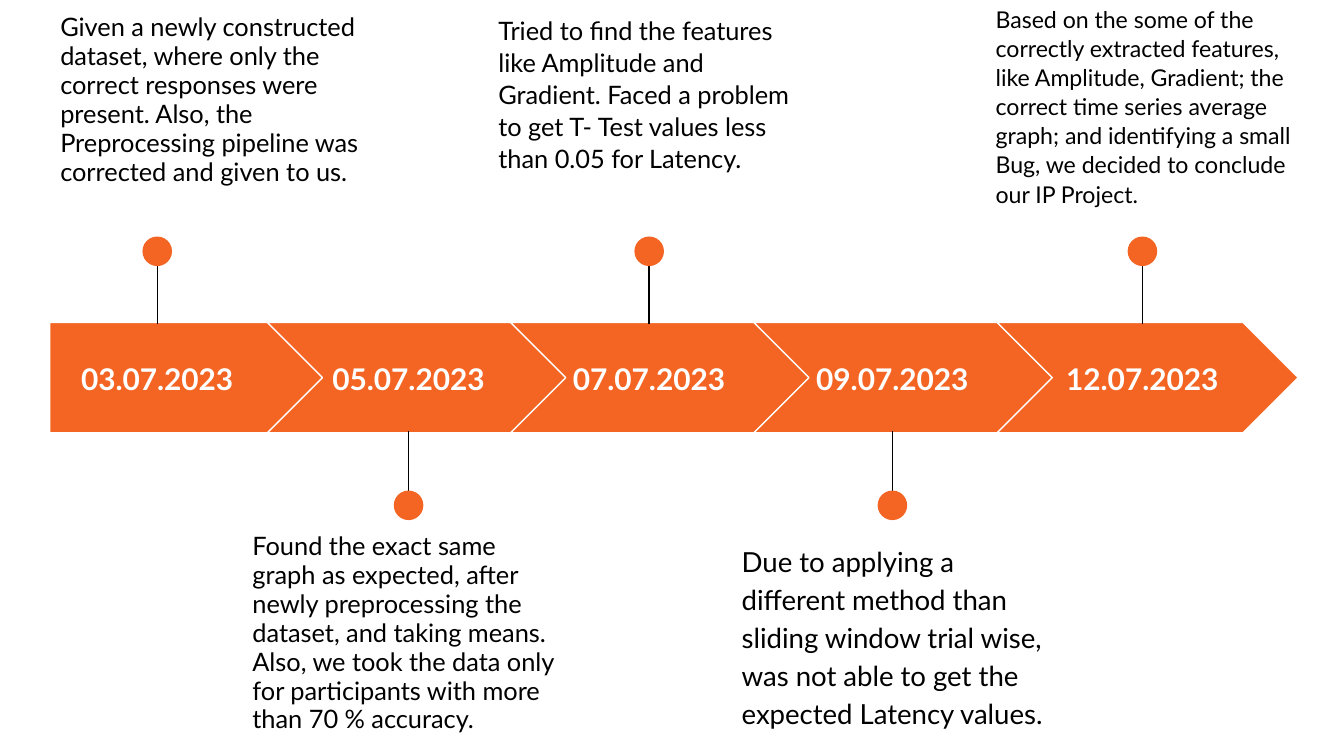
from dataclasses import dataclass

from lxml.etree import SubElement
from pptx import Presentation
from pptx.dml.color import RGBColor
from pptx.enum.shapes import MSO_CONNECTOR, MSO_SHAPE
from pptx.enum.text import MSO_ANCHOR, PP_ALIGN
from pptx.oxml.ns import qn
from pptx.util import Inches, Pt


@dataclass(frozen=True)
class Theme:
    font: str = "Lato"
    orange: RGBColor = RGBColor(0xF4, 0x65, 0x24)
    white: RGBColor = RGBColor(0xFF, 0xFF, 0xFF)
    black: RGBColor = RGBColor(0, 0, 0)
    date: float = 16
    note: float = 13.6
    large: float = 14.8
    small: float = 12.4
    line: float = 0.75


@dataclass(frozen=True)
class Step:
    date: str
    mid: float  # centre of the date and its pin
    note: str
    left: float
    top: float
    high: float
    size: float
    space: float


THEME = Theme()
BAND_TOP, BAND_HIGH = 2.4, 0.82
FIRST, PITCH, WIDE = 1.99, 1.81, 2.24  # chevrons
DOT = 0.22

STEPS = [
    Step("03.07.2023", 1.17,
         "Given a newly constructed dataset, where only the correct responses "
         "were present. Also, the Preprocessing pipeline was corrected and "
         "given to us.", 0.35, 0, 1.58, THEME.note, 0.95),
    Step("05.07.2023", 3.04,
         "Found the exact same graph as expected, after newly preprocessing "
         "the dataset, and taking means. Also, we took the data only for "
         "participants with more than 70 % accuracy.",
         1.78, 3.86, 1.76, THEME.note, 0.95),
    Step("07.07.2023", 4.83,
         "Tried to find the features like Amplitude and Gradient. Faced a "
         "problem to get T- Test values less than 0.05 for Latency.",
         3.61, 0, 1.41, THEME.note, 1.05),
    Step("09.07.2023", 6.64,
         "Due to applying a different method than sliding window trial wise, "
         "was not able to get the expected Latency values.",
         5.42, 3.92, 1.7, THEME.large, 1.15),
    Step("12.07.2023", 8.5,
         "Based on the some of the correctly extracted features, like "
         "Amplitude, Gradient; the correct time series average graph; and "
         "identifying a small Bug, we decided to conclude our IP Project.",
         7.31, -0.07, 1.83, THEME.small, 1.05),
]


def add_solid(slide, kind: MSO_SHAPE, left: float, top: float,
              wide: float, high: float):
    """Add an orange shape without outline or shadow."""
    shape = slide.shapes.add_shape(
        kind, Inches(left), Inches(top), Inches(wide), Inches(high))
    shape.shadow.inherit = False
    shape.fill.solid()
    shape.fill.fore_color.rgb = THEME.orange
    shape.line.fill.background()
    return shape


def add_arrow(slide, index: int) -> None:
    if index == 0:
        kind, left, wide = MSO_SHAPE.PENTAGON, 0.37, 2.05
    else:
        kind, left, wide = MSO_SHAPE.CHEVRON, FIRST + PITCH * (index - 1), WIDE
    arrow = add_solid(slide, kind, left, BAND_TOP, wide, BAND_HIGH)
    arrow.adjustments[0] = 0.5
    arrow.line.color.rgb = THEME.white
    arrow.line.width = Pt(THEME.line)


def add_text(slide, text: str, left: float, top: float, wide: float,
             high: float, size: float, color: RGBColor):
    """Add a wrapped one-paragraph box; return its frame and paragraph."""
    box = slide.shapes.add_textbox(
        Inches(left), Inches(top), Inches(wide), Inches(high))
    frame = box.text_frame
    frame.word_wrap = True
    frame.margin_left = frame.margin_right = Inches(0.1)
    frame.margin_top = frame.margin_bottom = Inches(0.1)
    para = frame.paragraphs[0]
    para.text = text
    para.font.name = THEME.font
    para.font.size = Pt(size)
    para.font.color.rgb = color
    return frame, para


def add_date(slide, step: Step) -> None:
    wide = 1.44
    frame, para = add_text(slide, step.date, step.mid - wide / 2, 2.56, wide,
                           0.51, THEME.date, THEME.white)
    frame.vertical_anchor = MSO_ANCHOR.MIDDLE
    para.alignment = PP_ALIGN.CENTER
    para.font.bold = True


def add_pin(slide, mid: float, above: bool) -> None:
    """Join the band to a dot above or below it."""
    start, end, top = (1.8, 2.41, 1.76) if above else (3.82, 3.21, 3.65)
    stem = slide.shapes.add_connector(
        MSO_CONNECTOR.STRAIGHT, Inches(mid), Inches(start),
        Inches(mid), Inches(end))
    stem.line.color.rgb = THEME.black
    stem.line.width = Pt(THEME.line)
    SubElement(stem.element.spPr, qn("a:effectLst"))
    add_solid(slide, MSO_SHAPE.OVAL, mid - DOT / 2, top, DOT, DOT)


def add_note(slide, step: Step) -> None:
    _, para = add_text(slide, step.note, step.left, step.top, 2.45, step.high,
                       step.size, THEME.black)
    para.line_spacing = step.space
    para.space_after = Pt(12)


def main() -> None:
    deck = Presentation()
    deck.slide_width = Inches(10)
    deck.slide_height = deck.slide_width * 9 // 16
    slide = deck.slides.add_slide(deck.slide_layouts[6])
    for index, step in enumerate(STEPS):
        add_arrow(slide, index)
        add_date(slide, step)
        add_pin(slide, step.mid, above=index % 2 == 0)
        add_note(slide, step)
    deck.save("out.pptx")


if __name__ == "__main__":
    main()
